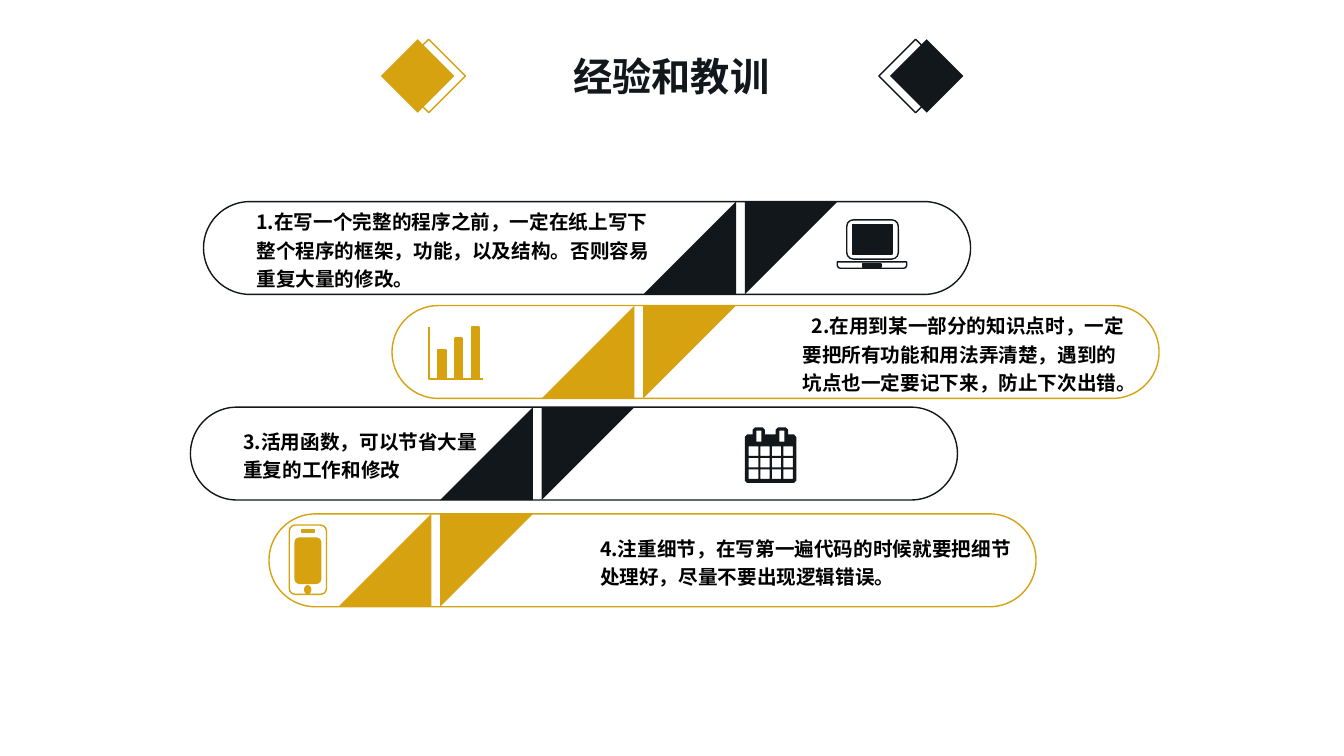
"""Build the slide of four lessons learned, set on staggered rounded bars."""
from dataclasses import dataclass

from lxml.etree import SubElement
from pptx import Presentation
from pptx.dml.color import RGBColor
from pptx.enum.shapes import MSO_SHAPE
from pptx.enum.text import MSO_ANCHOR, PP_ALIGN
from pptx.oxml.ns import qn
from pptx.util import Cm, Pt


@dataclass(frozen=True)
class Theme:
    dark: RGBColor = RGBColor(0x12, 0x17, 0x1C)
    gold: RGBColor = RGBColor(0xD6, 0xA2, 0x10)
    white: RGBColor = RGBColor(0xFF, 0xFF, 0xFF)
    black: RGBColor = RGBColor(0, 0, 0)
    title_size: int = 28
    body_size: int = 14
    title_font: str = "Roboto"
    body_font: str = "Noto Sans CJK SC"


class SlideBuilder:
    def __init__(self, slide, theme):
        self.slide = slide
        self.theme = theme

    def paint(self, shape, fill, line, width):
        shape.shadow.inherit = False
        if fill is None:
            shape.fill.background()
        else:
            shape.fill.solid()
            shape.fill.fore_color.rgb = fill
        if line is None:
            shape.line.fill.background()
        else:
            shape.line.color.rgb = line
            shape.line.width = Pt(width)
        return shape

    def shape(self, kind, box, fill=None, line=None, width=1, rotation=0, radius=None):
        shape = self.slide.shapes.add_shape(kind, *map(Cm, box))
        shape.rotation = rotation
        if radius is not None:
            shape.adjustments[0] = radius
        return self.paint(shape, fill, line, width)

    def outline(self, contours, fill=None, line=None, width=1, close=True):
        first, *holes = [[(Cm(x), Cm(y)) for x, y in contour] for contour in contours]
        builder = self.slide.shapes.build_freeform(*first[0], scale=1.0)
        builder.add_line_segments(first[1:], close=close)
        for hole in holes:
            builder.move_to(*hole[0])
            builder.add_line_segments(hole[1:], close=close)
        return self.paint(builder.convert_to_shape(), fill, line, width)

    def style(self, paragraph, face, size, color, align):
        paragraph.alignment = align
        font = paragraph.font
        font.name, font.size, font.bold = face, Pt(size), True
        font.color.rgb = color
        SubElement(font._rPr, qn("a:ea")).set("typeface", self.theme.body_font)

    def title(self, text, box):
        title = self.slide.shapes.title
        title.left, title.top, title.width, title.height = map(Cm, box)
        frame = title.text_frame
        frame.text = text
        frame.word_wrap = False
        frame.vertical_anchor = MSO_ANCHOR.MIDDLE
        self.style(frame.paragraphs[0], self.theme.title_font, self.theme.title_size,
                   self.theme.dark, PP_ALIGN.CENTER)

    def lesson(self, text, box, color, inset, indent):
        bar = self.shape(MSO_SHAPE.ROUNDED_RECTANGLE, box, self.theme.white, color, radius=0.5)
        frame = bar.text_frame
        frame.text = text
        frame.word_wrap = True
        frame.vertical_anchor = MSO_ANCHOR.MIDDLE
        frame.margin_left, frame.margin_right = Cm(inset), Cm(0.25)
        frame.margin_top = frame.margin_bottom = Cm(0.13)
        for paragraph in frame.paragraphs:
            paragraph.line_spacing = 1.2
            self.style(paragraph, self.theme.body_font, self.theme.body_size,
                       self.theme.black, PP_ALIGN.LEFT)
            paragraph._p.get_or_add_pPr().set("indent", str(Cm(indent)))

    def laptop(self, color):
        white = self.theme.white
        self.shape(MSO_SHAPE.ROUNDED_RECTANGLE, (21.34, 5.54, 1.3, 0.99), white, color)
        self.shape(MSO_SHAPE.RECTANGLE, (21.49, 5.66, 0.99, 0.74), color, color)
        self.shape(MSO_SHAPE.ROUND_2_SAME_RECTANGLE, (21.1, 6.6, 1.75, 0.16),
                   white, color, rotation=180, radius=0.5)
        self.shape(MSO_SHAPE.RECTANGLE, (21.74, 6.65, 0.46, 0.08), color, color)

    def column_icon(self, color):
        base = 9.55
        self.outline([[(10.82, 8.23), (10.82, base), (12.17, base)]],
                     line=color, width=1.5, close=False)
        for left, height in ((11.05, 0.74), (11.46, 1.02), (11.89, 1.3)):
            self.shape(MSO_SHAPE.RECTANGLE, (left, base - height, 0.18, height),
                       color, color, 1.5)

    def calendar(self, color):
        left, right, top, header, bottom = 18.77, 20.07, 10.77, 10.95, 12.17
        cut = 0.06
        body = [(left, header + cut), (left + cut, header)]
        slots = []
        for ring in (18.97, 19.55):
            end = ring + 0.31
            body += [(ring, header), (ring, top + cut), (ring + cut, top),
                     (end - cut, top), (end, top + cut), (end, header)]
            slots.append((ring + 0.09, top + 0.08, 0.13, 0.28))
        body += [(right - cut, header), (right, header + cut), (right, bottom - cut),
                 (right - cut, bottom), (left + cut, bottom), (left, bottom - cut)]
        days = [(left + 0.1 + 0.29 * column, 11.25 + 0.29 * row, 0.24, 0.24)
                for row in range(3) for column in range(4)]
        holes = [[(x, y), (x, y + h), (x + w, y + h), (x + w, y)]
                 for x, y, w, h in slots + days]
        self.outline([body, *holes], color)

    def phone(self, color):
        for kind, box, fill in (
            (MSO_SHAPE.ROUNDED_RECTANGLE, (7.29, 13.23, 0.94, 1.75), self.theme.white),
            (MSO_SHAPE.ROUNDED_RECTANGLE, (7.44, 13.56, 0.64, 1.14), color),
            (MSO_SHAPE.RECTANGLE, (7.6, 13.36, 0.33, 0.05), color),
            (MSO_SHAPE.OVAL, (7.68, 14.76, 0.15, 0.2), color),
        ):
            self.shape(kind, box, fill, color)


theme = Theme()
presentation = Presentation()
presentation.slide_width, presentation.slide_height = Cm(33.87), Cm(19.05)
page = SlideBuilder(presentation.slides.add_slide(presentation.slide_layouts[5]), theme)

BAR_WIDTH, BAR_HEIGHT, STRIPE_STEP = 19.33, 2.34, 2.56
lessons = (
    ("1.在写一个完整的程序之前，一定在纸上写下\n整个程序的框架，功能，以及结构。否则容易\n重复大量的修改。",
     5.13, 5.08, theme.dark, 0.99, 0, page.laptop),
    ("2.在用到某一部分的知识点时，一定要把所有功能和用法弄清楚，遇到的坑点也一定要记下来，防止下次出错。",
     9.88, 7.7, theme.gold, 10, 0.23, page.column_icon),
    ("3.活用函数，可以节省大量\n重复的工作和修改",
     4.8, 10.26, theme.dark, 0.99, 0, page.calendar),
    ("4.注重细节，在写第一遍代码的时候就要把细节处理好，尽量不要出现逻辑错误。",
     6.78, 12.95, theme.gold, 8, 0, page.phone),
)
for order, (text, left, top, color, inset, indent, draw_icon) in enumerate(lessons):
    page.lesson(text, (left, top, BAR_WIDTH, BAR_HEIGHT), color, inset, indent)
    for side, rotation in enumerate((90, 270)):
        stripe_left = 18.77 - STRIPE_STEP * (order + side)
        page.shape(MSO_SHAPE.RIGHT_TRIANGLE, (stripe_left, top, BAR_HEIGHT, BAR_HEIGHT),
                   color, rotation=rotation)
    draw_icon(color)

for solid_left, frame_left, color in ((9.6, 9.88, theme.gold), (22.43, 22.15, theme.dark)):
    page.shape(MSO_SHAPE.DIAMOND, (solid_left, 0.99, 1.85, 1.85), color)
    page.shape(MSO_SHAPE.DIAMOND, (frame_left, 0.99, 1.85, 1.85), line=color)

page.title("经验和教训", (14.2, 1.19, 5.44, 1.45))
presentation.save("out.pptx")
